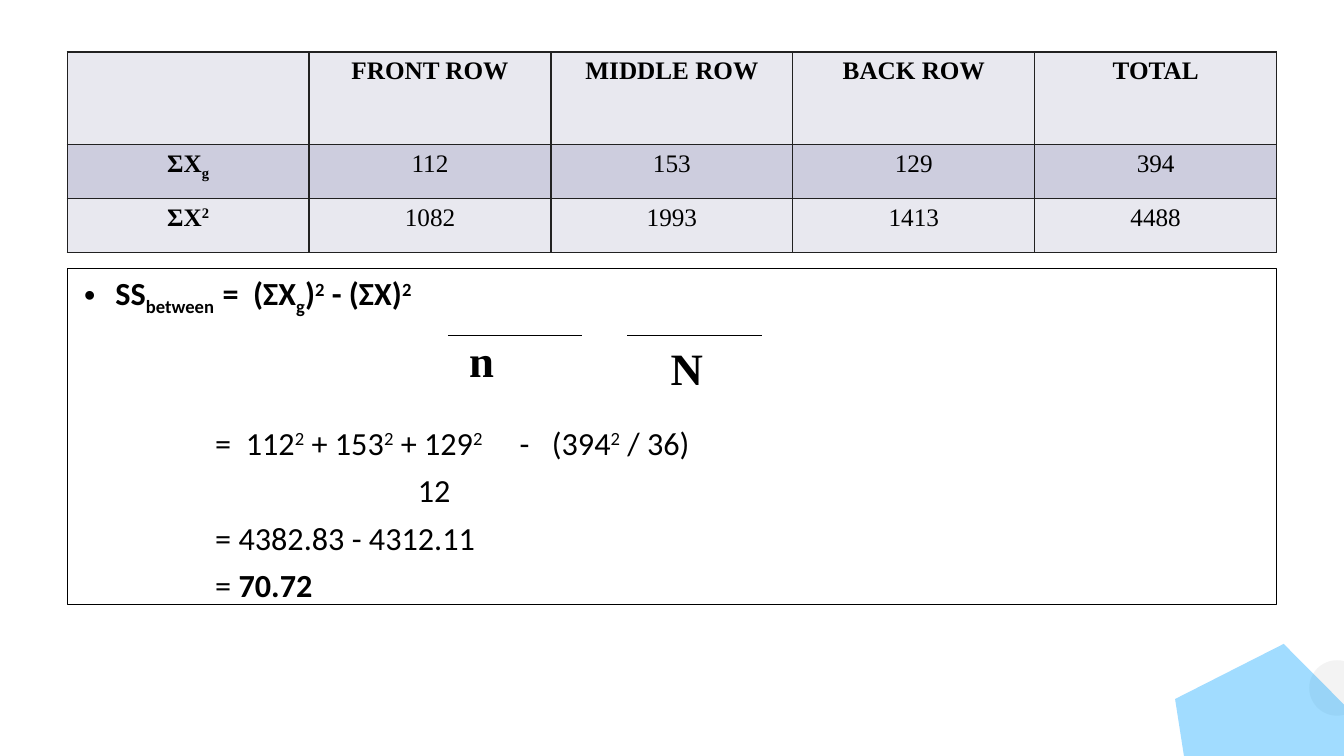
import lxml.etree
import pptx
import pptx.dml.color
import pptx.enum.shapes
import pptx.enum.text
import pptx.oxml.ns
import pptx.util

BLACK = pptx.dml.color.RGBColor(0x00, 0x00, 0x00)
EDGE = pptx.dml.color.RGBColor(0x21, 0x21, 0x21)
PALE = pptx.dml.color.RGBColor(0xE8, 0xE8, 0xEF)
LILAC = pptx.dml.color.RGBColor(0xCD, 0xCD, 0xDE)
GREY = pptx.dml.color.RGBColor(0xF3, 0xF3, 0xF3)
BLUE = pptx.dml.color.RGBColor(0x00, 0xA1, 0xFF)

SHAPE = pptx.enum.shapes.MSO_SHAPE
ALIGN = pptx.enum.text.PP_ALIGN
SUB, SUP = -25, 30
TABS = (1.37, 3.38, 4.39, 4.71)

HEAD = ("", "FRONT ROW", "MIDDLE ROW", "BACK ROW", "TOTAL")
ROWS = (
    (5.52, PALE, [[(name, 0)] for name in HEAD]),
    (3.2, LILAC, [[("ΣX", 0), ("g", SUB)]]
     + [[(num, 0)] for num in ("112", "153", "129", "394")]),
    (3.2, PALE, [[("ΣX", 0), ("2", SUP)]]
     + [[(num, 0)] for num in ("1082", "1993", "1413", "4488")]),
)

RULE = [("SS", 0), ("between  ", SUB), ("=  (ΣX", 0), ("g", SUB), (")", 0),
        ("2", SUP), (" - (ΣX)", 0), ("2", SUP)]
STEPS = (
    (75.2, [("\t=  112", 0), ("2", SUP), (" + 153", 0), ("2", SUP),
            (" + 129", 0), ("2", SUP), ("\t-\t(394", 0), ("2", SUP),
            (" / 36)", 0)]),
    (6.4, [("\t\t12", 0)]),
    (6.4, [("\t= 4382.83 - 4312.11", 0)]),
    (6.4, [("\t= ", 0), ("70.72", 0, True)]),
)


def node(base, tag, **attrs):
    item = lxml.etree.SubElement(base, pptx.oxml.ns.qn(tag))
    for key, val in attrs.items():
        item.set(key, str(val))
    return item


class Deck:
    """Draws elements on one slide, measured on a grid of 60 columns and 45 rows."""

    def __init__(self):
        self.show = pptx.Presentation()
        self.show.slide_width = pptx.util.Inches(13.333)
        self.show.slide_height = pptx.util.Inches(7.5)
        self.slide = self.show.slides.add_slide(self.show.slide_layouts[6])
        self.body = {"name": "Calibri", "size": pptx.util.Pt(23)}
        self.serif = {"name": "Times New Roman", "size": pptx.util.Pt(18)}
        self.large = {**self.serif, "size": pptx.util.Pt(32)}

    def col(self, num):
        return round(self.show.slide_width * num / 60)

    def row(self, num):
        return round(self.show.slide_height * num / 45)

    def area(self, left, top, width, height):
        return self.col(left), self.row(top), self.col(width), self.row(height)

    def put(self, para, runs, style, bold=False):
        for text, shift, *heavy in runs:
            run = para.add_run()
            run.text = text
            for key, val in {**style, "bold": bool(heavy) or bold}.items():
                setattr(run.font, key, val)
            run.font.color.rgb = BLACK
            if shift:
                run._r.get_or_add_rPr().set("baseline", str(shift * 1000))

    def shape(self, kind, box, fill=None, turn=0, alpha=None):
        item = self.slide.shapes.add_shape(kind, *self.area(*box))
        item.shadow.inherit = False
        item.rotation = turn
        if fill is None:
            item.fill.background()
            item.line.color.rgb = BLACK
            item.line.width = pptx.util.Pt(0.75)
        else:
            item.fill.solid()
            item.fill.fore_color.rgb = fill
            item.line.fill.background()
        if alpha:
            tint = item._element.spPr.find(".//" + pptx.oxml.ns.qn("a:srgbClr"))
            node(tint, "a:alpha", val=alpha * 1000)
        return item

    def proof(self, box):
        frame = self.shape(SHAPE.RECTANGLE, box).text_frame
        frame.word_wrap = True
        frame.vertical_anchor = pptx.enum.text.MSO_ANCHOR.TOP
        para = frame.paragraphs[0]
        para.alignment = ALIGN.LEFT
        props = para._p.get_or_add_pPr()
        props.set("marL", str(pptx.util.Inches(0.38)))
        props.set("indent", str(pptx.util.Inches(-0.31)))
        node(node(props, "a:buClr"), "a:srgbClr", val=BLACK)
        node(props, "a:buFont", typeface="Arial")
        node(props, "a:buChar", char="•")
        self.put(para, RULE, self.body, True)
        for gap, runs in STEPS:
            para = frame.add_paragraph()
            para.alignment = ALIGN.LEFT
            para.space_before = pptx.util.Pt(gap)
            stops = node(para._p.get_or_add_pPr(), "a:tabLst")
            for stop in TABS:
                node(stops, "a:tab", pos=pptx.util.Inches(stop), algn="l")
            self.put(para, runs, self.body)

    def label(self, text, box):
        frame = self.slide.shapes.add_textbox(*self.area(*box)).text_frame
        frame.word_wrap = True
        self.put(frame.paragraphs[0], [(text, 0)], self.large, True)

    def line(self, left, right, top):
        item = self.slide.shapes.add_connector(
            pptx.enum.shapes.MSO_CONNECTOR.STRAIGHT,
            self.col(left), self.row(top), self.col(right), self.row(top))
        item.line.color.rgb = BLACK
        item.line.width = pptx.util.Pt(0.75)
        node(item._element.spPr, "a:effectLst")

    def cell(self, cell, runs, fill, bold):
        cell.fill.solid()
        cell.fill.fore_color.rgb = fill
        props = cell._tc.get_or_add_tcPr()
        for spot, side in enumerate("LRTB"):
            edge = node(props, "a:ln" + side, w=pptx.util.Pt(1))
            node(node(edge, "a:solidFill"), "a:srgbClr", val=EDGE)
            props.insert(spot, edge)
        para = cell.text_frame.paragraphs[0]
        para.alignment = ALIGN.CENTER
        if runs[0][0]:
            self.put(para, runs, self.serif, bold)

    def table(self, box):
        grid = self.slide.shapes.add_table(
            len(ROWS), len(HEAD), *self.area(*box)).table
        for down, (height, fill, cells) in enumerate(ROWS):
            grid.rows[down].height = self.row(height)
            for across, runs in enumerate(cells):
                bold = down == 0 or across == 0
                self.cell(grid.cell(down, across), runs, fill, bold)


def main():
    deck = Deck()
    deck.proof((3, 16, 54, 20))
    deck.table((3, 3.1, 54, sum(height for height, *_ in ROWS)))
    for left in (20, 28):
        deck.line(left, left + 6, 20)
    deck.label("n", (20.5, 19.5, 6, 3.84))
    deck.label("N", (29.5, 20, 9.5, 3.84))
    deck.shape(SHAPE.OVAL, (58.45, 39.3, 2.48, 3.3), GREY)
    deck.shape(SHAPE.REGULAR_PENTAGON, (52.6, 38.76, 8.82, 11.16), BLUE, 81.1, 37)
    deck.show.save("out.pptx")


if __name__ == "__main__":
    main()
